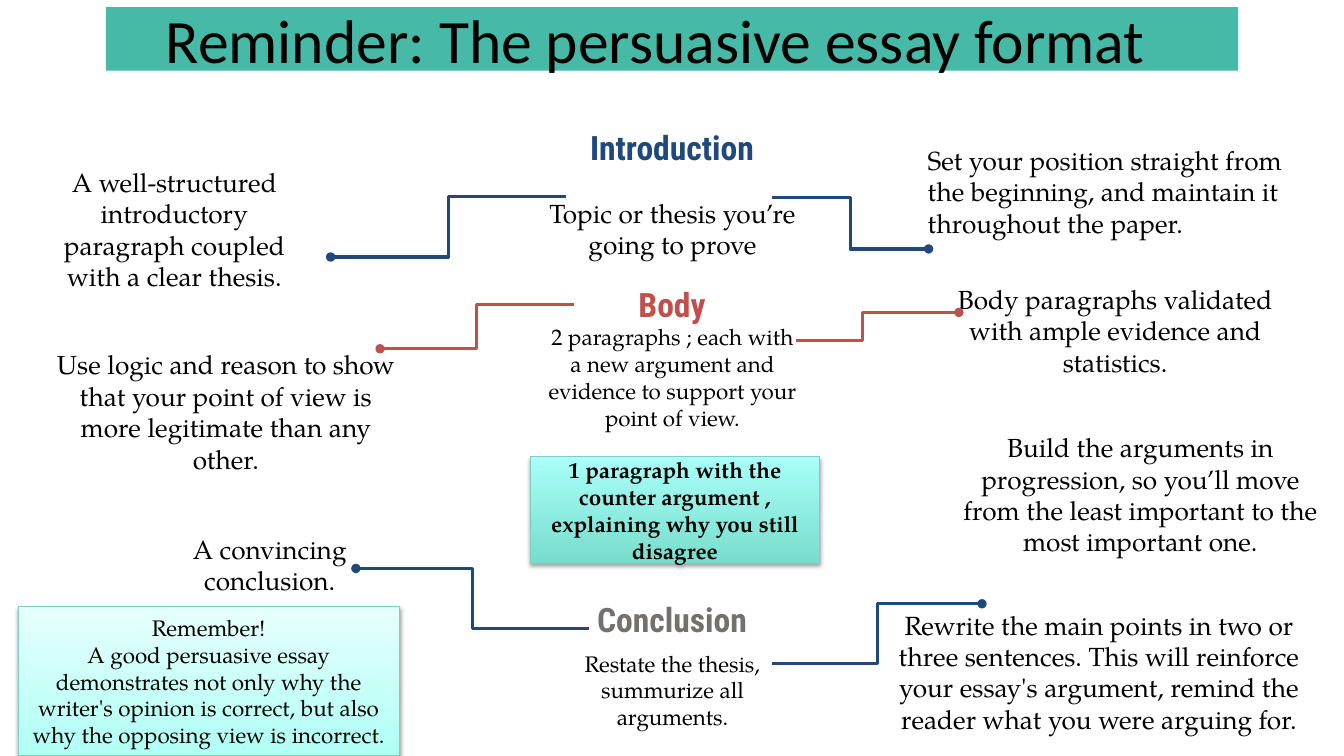
from lxml import etree
from pptx import Presentation
from pptx import util as u
from pptx.dml.color import RGBColor
from pptx.enum import shapes, text
from pptx.oxml import ns

THEME = {
    "teal": "46BAA7", "edge": "7FCEC1", "ink": "000000",
    "navy": "1F497D", "red": "C0504D", "gray": "757070",
    "title_font": "Calibri", "head_font": "Roboto Condensed", "body_font": "TeX Gyre Pagella",
    "title": 44, "head": 24, "note": 18.7, "small": 16,
}

TITLE = "Reminder: The persuasive essay format"

# Essay parts: heading, its colour, top, height, then detail, its size, top, height
PARTS = [
    ("Introduction", "navy", 1.3, 0.31, "Topic or thesis you’re going to prove", "note", 1.97, 0.59),
    ("Body", "red", 2.83, 0.37,
     "2 paragraphs ; each with a new argument and evidence to support your point of view.",
     "small", 3.39, 0.7),
    ("Conclusion", "gray", 5.98, 0.32, "Restate the thesis, summurize all arguments.",
     "small", 6.57, 0.55),
]

# Side notes: text, (left, top, width, height), alignment
NOTES = [
    ("A well-structured introductory paragraph coupled with a clear thesis.",
     (0.26, 1.58, 2.94, 1.71), "CENTER"),
    ("Use logic and reason to show that your point of view is more legitimate than any other.",
     (0.35, 3.39, 3.78, 1.39), "CENTER"),
    ("A convincing conclusion.", (1.73, 5.22, 1.89, 0.76), "CENTER"),
    ("Set your position straight from the beginning, and maintain it throughout the paper.",
     (9.07, 1.36, 4.15, 1.08), "LEFT"),
    ("Body paragraphs validated with ample evidence and statistics.",
     (9.29, 2.74, 3.54, 1.08), "CENTER"),
    ("Build the arguments in progression, so you’ll move from the least important "
     "to the most important one.", (9.29, 4.21, 4.04, 1.39), "CENTER"),
    ("Rewrite the main points in two or three sentences. This will reinforce your essay's "
     "argument, remind the reader what you were arguing for.", (8.58, 5.97, 4.64, 1.39), "CENTER"),
]

# Shaded boxes: paragraphs, position, gradient from bottom to top, bold, anchor
BOXES = [
    (["1 paragraph with the counter argument , explaining why you still disagree"],
     (5.26, 4.53, 2.87, 1.06), ("79DDCC", "A8FFF9"), True, "MIDDLE"),
    (["Remember!",
      "A good persuasive essay demonstrates not only why the writer's opinion is correct, "
      "but also why the opposing view is incorrect."],
     (0.18, 6.02, 3.78, 1.48), ("AFFFF5", "E7FFFC"), False, "TOP"),
]

# Links: start, end, colour, share of the width where the bend sits
LINKS = [
    ((5.61, 1.95), (3.28, 2.55), "navy", 0.5),
    ((5.69, 3.02), (3.77, 3.46), "red", 0.5),
    ((7.66, 1.96), (9.21, 2.47), "navy", 0.5),
    ((7.89, 3.38), (9.51, 3.1), "red", 0.41),
    ((5.84, 6.24), (3.53, 5.64), "navy", 0.5),
    ((7.66, 6.58), (9.74, 5.99), "navy", 0.5),
]


def rgb(name):
    return RGBColor.from_string(THEME.get(name, name))


def inches(values):
    return [u.Inches(v) for v in values]


def write(sp, lines, size, font="body_font", color="ink", bold=False,
          align="CENTER", anchor="MIDDLE", right=0.13):
    tf = sp.text_frame
    tf.text = "\n".join(lines)
    tf.word_wrap = True
    tf.auto_size = text.MSO_AUTO_SIZE.NONE
    tf.vertical_anchor = text.MSO_ANCHOR[anchor]
    tf.margin_left, tf.margin_right = inches((0.13, right))
    tf.margin_top = tf.margin_bottom = u.Inches(0.13 if anchor == "MIDDLE" else 0.07)
    for p in tf.paragraphs:
        p.alignment = text.PP_ALIGN[align]
        for r in p.runs:
            r.font.name, r.font.size, r.font.bold = THEME[font], u.Pt(THEME[size]), bold
            r.font.color.rgb = rgb(color)


def add_soft_shadow(sp):
    sp.shadow.inherit = False
    effects = sp._element.spPr.find(ns.qn("a:effectLst"))
    shadow = etree.SubElement(effects, ns.qn("a:outerShdw"), blurRad=str(u.Pt(3.1)),
                              dist=str(u.Pt(1.7)), dir="5400000", rotWithShape="0")
    black = etree.SubElement(shadow, ns.qn("a:srgbClr"), val="000000")
    etree.SubElement(black, ns.qn("a:alpha"), val="36000")


def add_link(s, start, end, color, bend):
    link = s.shapes.add_connector(shapes.MSO_CONNECTOR.ELBOW, *inches(start + end))
    link.line.color.rgb = rgb(color)
    link.line.width = u.Pt(2.25)
    spPr = link._element.spPr
    guides = spPr.find(ns.qn("a:prstGeom")).get_or_add_avLst()
    etree.SubElement(guides, ns.qn("a:gd"), name="adj1", fmla=f"val {round(bend * 100000)}")
    etree.SubElement(link.line._get_or_add_ln(), ns.qn("a:tailEnd"), type="oval")
    etree.SubElement(spPr, ns.qn("a:effectLst"))


def main():
    prs = Presentation()
    prs.slide_width, prs.slide_height = inches((13.33, 7.5))
    s = prs.slides.add_slide(prs.slide_layouts[5])

    # Title bar, its text set slightly left of centre
    title = s.shapes.title
    title.left, title.top, title.width, title.height = inches((1.05, 0.07, 11.23, 0.63))
    title.fill.solid()
    title.fill.fore_color.rgb = rgb("teal")
    write(title, [TITLE], "title", "title_font", right=0.45)

    # Centre column: heading above detail
    for head, color, head_top, head_h, detail, size, top, height in PARTS:
        group = s.shapes.add_group_shape().shapes
        write(group.add_textbox(*inches((5.69, head_top, 1.95, head_h))),
              [head], "head", "head_font", color, True)
        write(group.add_textbox(*inches((5.26, top, 2.82, height))), [detail], size)

    # Side notes
    for note, place, align in NOTES:
        write(s.shapes.add_textbox(*inches(place)), [note], "note", align=align, anchor="TOP")

    # Shaded boxes
    for lines, place, colors, bold, anchor in BOXES:
        box = s.shapes.add_shape(shapes.MSO_SHAPE.RECTANGLE, *inches(place))
        box.fill.gradient()
        box.fill.gradient_angle = 90
        for stop, color in zip(box.fill.gradient_stops, colors):
            stop.color.rgb = rgb(color)
        box.line.color.rgb = rgb("edge")
        box.line.width = u.Pt(0.75)
        add_soft_shadow(box)
        write(box, lines, "small", bold=bold, anchor=anchor)

    # Links from the centre column to the notes
    for link in LINKS:
        add_link(s, *link)

    prs.save("out.pptx")


if __name__ == "__main__":
    main()
